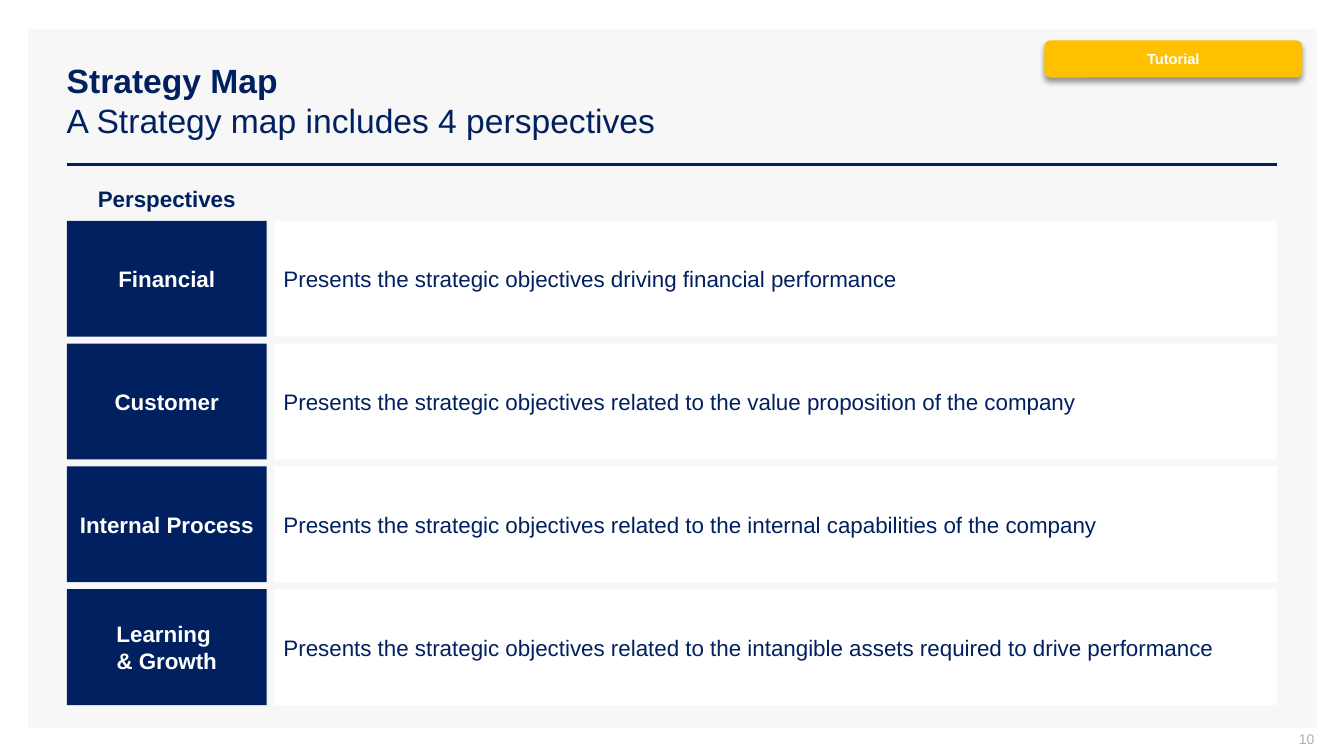
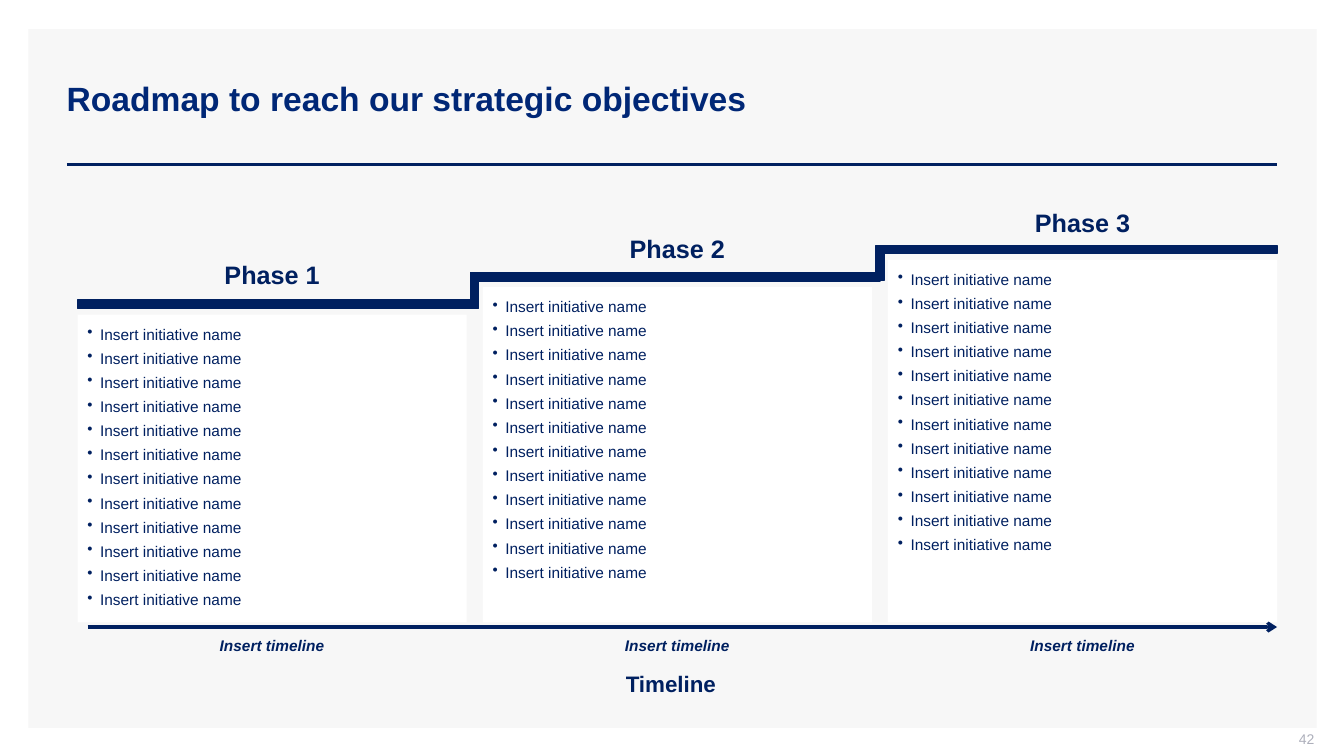
from dataclasses import dataclass

from lxml import etree
from pptx import Presentation
from pptx.dml.color import RGBColor
from pptx.enum.shapes import MSO_CONNECTOR, MSO_SHAPE
from pptx.enum.text import MSO_ANCHOR, PP_ALIGN
from pptx.oxml.ns import qn
from pptx.util import Pt

RECT, ROUND = MSO_SHAPE.RECTANGLE, MSO_SHAPE.ROUNDED_RECTANGLE
STRAIGHT = MSO_CONNECTOR.STRAIGHT
TOP, MIDDLE = MSO_ANCHOR.TOP, MSO_ANCHOR.MIDDLE
LEFT, CENTER, RIGHT = PP_ALIGN.LEFT, PP_ALIGN.CENTER, PP_ALIGN.RIGHT


@dataclass(frozen=True)
class Theme:
    font: str = "Arial"
    navy: str = "002060"
    title_blue: str = "002776"
    panel: str = "F7F7F7"
    white: str = "FFFFFF"
    amber: str = "FFC000"
    grey: str = "ADAFBB"
    black: str = "000000"
    title: float = 24
    phase: float = 18
    body: float = 16
    small: float = 11
    tag: float = 10.5
    number: float = 10


T = Theme()


@dataclass(frozen=True)
class Box:
    x: float
    y: float
    w: float
    h: float

    def emu(self) -> tuple:
        return Pt(self.x), Pt(self.y), Pt(self.w), Pt(self.h)


@dataclass(frozen=True)
class Style:
    size: float
    color: str = T.navy
    bold: bool = False
    italic: bool = False
    align: PP_ALIGN = LEFT
    anchor: MSO_ANCHOR = MIDDLE
    insets: tuple = (7.2, 3.6, 7.2, 3.6)
    spacing: float = 0
    bullet: bool = False


@dataclass(frozen=True)
class Perspective:
    name: str
    purpose: str


@dataclass(frozen=True)
class Phase:
    name: str
    initiatives: list
    timeline: str


# Text styles
TITLE = Style(T.title, bold=True)
NUMBER = Style(T.number, T.grey, align=RIGHT, insets=(7.2, 0, 0, 3.6))
LABEL = Style(T.body, T.white, bold=True, align=CENTER)
PURPOSE = Style(T.body)
HEADING = Style(T.body, bold=True, align=CENTER, insets=(0, 3.6, 0, 3.6))
TAG = Style(T.tag, T.white, bold=True, align=CENTER)
PHASE = Style(T.phase, bold=True, align=CENTER, insets=(0, 5.8, 0, 5.8))
INITIATIVE = Style(T.small, anchor=TOP, insets=(7.2,) * 4, spacing=2, bullet=True)
TIMELINE = Style(T.small, bold=True, italic=True, align=CENTER, anchor=TOP)

# Shared frame
PANEL = Box(20.2, 20.9, 920.2, 499)
TITLE_BOX = Box(40.6, 28.8, 872, 85.7)
NUMBER_BOX = Box(722.9, 522, 216, 15.1)
LEFT_EDGE, RIGHT_EDGE, RULE_Y = 47.8, 912.2, 117.3

PERSPECTIVES = [
    Perspective("Financial", "Presents the strategic objectives driving financial performance"),
    Perspective("Customer", "Presents the strategic objectives related to the value proposition of the company"),
    Perspective("Internal Process", "Presents the strategic objectives related to the internal capabilities of the company"),
    Perspective("Learning \n& Growth", "Presents the strategic objectives related to the intangible assets required to drive performance"),
]
PHASES = [Phase(f"Phase {n}", ["Insert initiative name"] * 12, "Insert timeline") for n in (1, 2, 3)]


def set_all(obj, formats: dict) -> None:
    for name, value in formats.items():
        setattr(obj, name, value)


def add_run(p, text: str, st: Style, **changes) -> None:
    r = p.add_run()
    r.text = text
    set_all(r.font, {"name": T.font, "size": Pt(st.size), "bold": st.bold, "italic": st.italic, **changes})
    r.font.color.rgb = RGBColor.from_string(st.color)


def add_bullet(p) -> None:
    pPr = p._p.get_or_add_pPr()
    pPr.set("marL", str(Pt(9)))
    pPr.set("indent", str(-Pt(9)))
    etree.SubElement(pPr, qn("a:buChar"), char="•")


def frame_of(sp, st: Style):
    tf = sp.text_frame
    sides = ("margin_left", "margin_top", "margin_right", "margin_bottom")
    set_all(tf, {"word_wrap": True, "vertical_anchor": st.anchor,
                 **{side: Pt(v) for side, v in zip(sides, st.insets)}})
    return tf


def write(sp, lines: list, st: Style) -> None:
    tf = frame_of(sp, st)
    for i, line in enumerate(lines):
        p = tf.add_paragraph() if i else tf.paragraphs[0]
        p.alignment = st.align
        if st.bullet:
            add_bullet(p)
        if st.spacing:
            set_all(p, {"space_before": Pt(st.spacing if i else 0), "space_after": Pt(st.spacing)})
        add_run(p, line, st)


def add_text(s, box: Box, text: str, st: Style) -> None:
    write(s.shapes.add_textbox(*box.emu()), [text], st)


def add_block(s, box: Box, fill: str, kind=RECT, outline: str = ""):
    sp = s.shapes.add_shape(kind, *box.emu())
    sp.shadow.inherit = False
    sp.fill.solid()
    sp.fill.fore_color.rgb = RGBColor.from_string(fill)
    if outline:
        sp.line.color.rgb = RGBColor.from_string(outline)
        sp.line.width = Pt(1)
    else:
        sp.line.fill.background()
    return sp


def add_line(s, x1: float, x2: float, y: float, width: float, arrow: bool = False) -> None:
    ln = s.shapes.add_connector(STRAIGHT, Pt(x1), Pt(y), Pt(x2), Pt(y))
    ln.line.color.rgb = RGBColor.from_string(T.navy)
    ln.line.width = Pt(width)
    if arrow:
        etree.SubElement(ln.line._get_or_add_ln(), qn("a:tailEnd"), type="arrow")
    etree.SubElement(ln._element.spPr, qn("a:effectLst"))


def add_drop_shadow(sp) -> None:
    effects = sp._element.spPr.find(qn("a:effectLst"))
    shadow = etree.SubElement(effects, qn("a:outerShdw"), blurRad=str(Pt(4)), dist=str(Pt(3)),
                              dir="5400000", algn="t", rotWithShape="0")
    color = etree.SubElement(shadow, qn("a:srgbClr"), val=T.black)
    etree.SubElement(color, qn("a:alpha"), val="40000")


def new_slide(prs, number: int, title: str, subtitle: str = "", color: str = T.navy, leading: float = 1.0):
    s = prs.slides.add_slide(prs.slide_layouts[6])
    add_block(s, PANEL, T.panel)
    add_line(s, LEFT_EDGE, RIGHT_EDGE, RULE_Y, 2)
    st = Style(TITLE.size, color, bold=True)
    p = frame_of(s.shapes.add_textbox(*TITLE_BOX.emu()), st).paragraphs[0]
    p.line_spacing = leading
    add_run(p, title, st)
    if subtitle:
        p.add_line_break()
        add_run(p, subtitle, st, bold=False)
    add_text(s, NUMBER_BOX, str(number), NUMBER)
    return s


def perspectives_slide(prs) -> None:
    s = new_slide(prs, 10, "Strategy Map", "A Strategy map includes 4 perspectives")
    label_w, gap, top, height, pitch = 142.7, 4.9, 157.7, 82.8, 87.7
    purpose_x = LEFT_EDGE + label_w + gap
    add_text(s, Box(LEFT_EDGE, 129.8, label_w, 24.5), "Perspectives", HEADING)

    # One row per perspective
    for i, row in enumerate(PERSPECTIVES):
        y = top + i * pitch
        write(add_block(s, Box(LEFT_EDGE, y, label_w, height), T.navy), row.name.split("\n"), LABEL)
        write(add_block(s, Box(purpose_x, y, RIGHT_EDGE - purpose_x, height), T.white), [row.purpose], PURPOSE)

    # Corner tag
    tag = add_block(s, Box(746, 28.8, 184.3, 26.6), T.amber, ROUND)
    add_drop_shadow(tag)
    write(tag, ["Tutorial"], TAG)


def roadmap_slide(prs) -> None:
    s = new_slide(prs, 42, "Roadmap to reach our strategic objectives", color=T.title_blue, leading=0.9)
    left, width, pitch, bottom = 55.4, 277.9, 289.45, 444.6
    rise, bar_h, label_w, time_w = 19.6, 5.8, 167, 114.5
    half_gap = (pitch - width) / 2
    last = len(PHASES) - 1

    for i, phase in enumerate(PHASES):
        x = left + i * pitch
        center = x + width / 2

        # Phase column with its heading and timeline
        y = 224.8 - i * rise
        write(add_block(s, Box(x, y, width, bottom - y), T.white), phase.initiatives, INITIATIVE)
        add_text(s, Box(center - label_w / 2, 182.9 - i * 18.4, label_w, 25.9), phase.name, PHASE)
        add_text(s, Box(center - time_w / 2, 450.7, time_w, 18), phase.timeline, TIMELINE)

        # Stair tread and the riser to the next phase
        bar_x = x - half_gap if i else x
        bar_end = x + width + half_gap if i < last else RIGHT_EDGE
        bar_y = 214.4 - i * rise
        add_block(s, Box(bar_x, bar_y, bar_end - bar_x, bar_h), T.navy, outline=T.navy)
        if i < last:
            riser = Box(bar_end - bar_h / 2, bar_y - rise, bar_h, rise + bar_h)
            add_block(s, riser, T.navy, outline=T.navy)

    # Time axis
    add_line(s, 62.6, RIGHT_EDGE, 447.9, 2.25, arrow=True)
    add_text(s, Box(322.6, 475.2, 313.2, 26.6), "Timeline", HEADING)


def main() -> None:
    prs = Presentation()
    prs.slide_width, prs.slide_height = Pt(960), Pt(540)
    perspectives_slide(prs)
    roadmap_slide(prs)
    prs.save("out.pptx")


if __name__ == "__main__":
    main()
